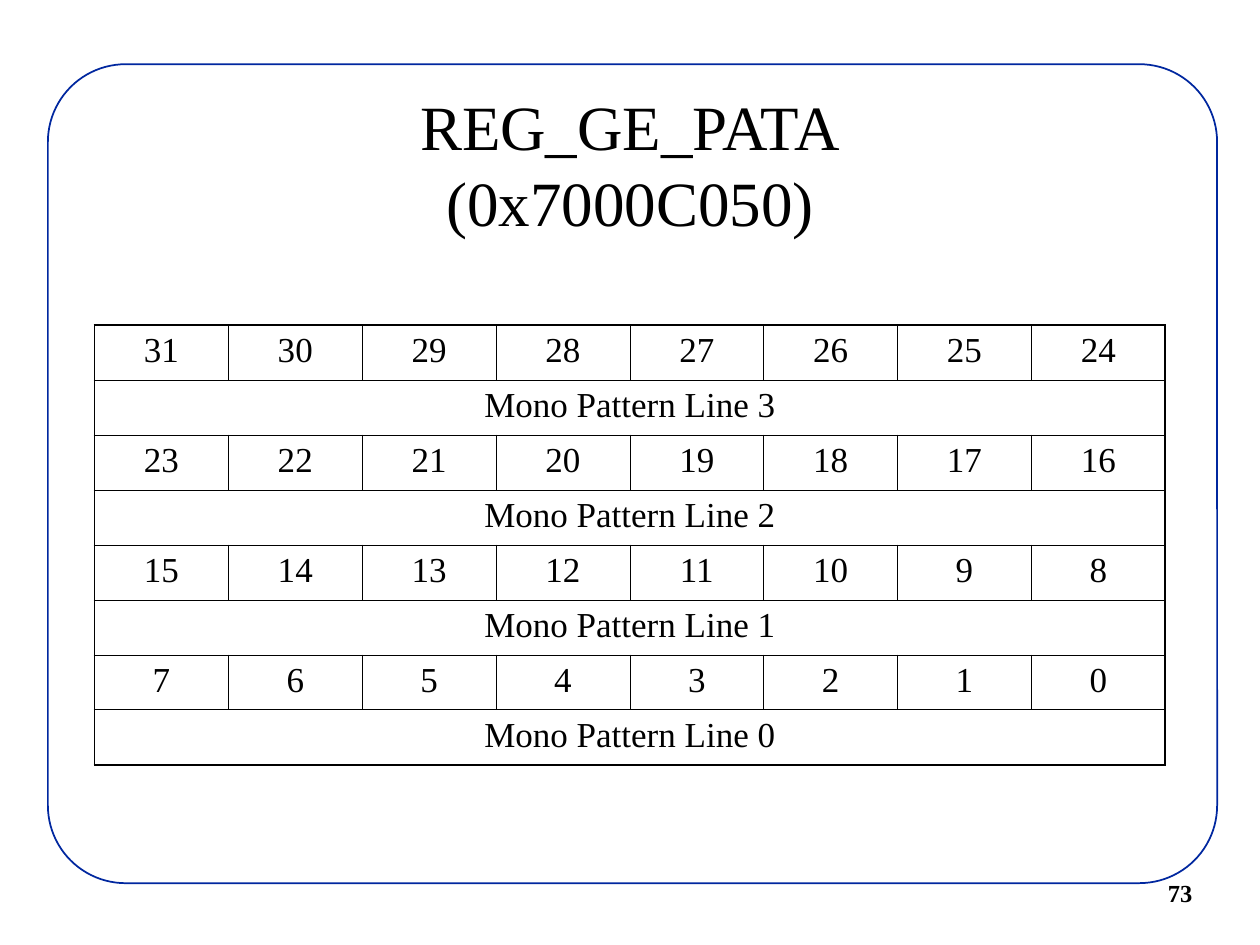
from lxml.etree import SubElement
from pptx import Presentation
from pptx.dml.color import RGBColor
from pptx.enum.shapes import MSO_SHAPE
from pptx.enum.text import MSO_ANCHOR, PP_ALIGN
from pptx.oxml.ns import qn
from pptx.util import Inches, Pt

TITLE = "REG_GE_PATA\v(0x7000C050)"
PAGE_NUMBER = "73"
FIELDS = [
    (31, "Mono Pattern Line 3"),
    (23, "Mono Pattern Line 2"),
    (15, "Mono Pattern Line 1"),
    (7, "Mono Pattern Line 0"),
]
BITS = 8

FONT = "Times New Roman"
BLACK = RGBColor(0x00, 0x00, 0x00)
WHITE = RGBColor(0xFF, 0xFF, 0xFF)
FRAME_BLUE = RGBColor(0x00, 0x27, 0x9F)
OUTER, INNER = Pt(1.08), Pt(0.45)


def write(tf, text, size, align, bold=False):
    tf.word_wrap = True
    p = tf.paragraphs[0]
    p.text = text
    p.alignment = align
    p.font.name = FONT
    p.font.size = Pt(size)
    p.font.bold = bold
    p.font.color.rgb = BLACK


def add_text(slide, box, text, size, align, anchor, bold=False):
    tf = slide.shapes.add_textbox(*map(Inches, box)).text_frame
    tf.vertical_anchor = anchor
    write(tf, text, size, align, bold)


def set_borders(cell, **widths):
    tcPr = cell._tc.get_or_add_tcPr()
    for side in "LRTB":
        ln = SubElement(tcPr, qn(f"a:ln{side}"), w=str(widths[side]))
        fill = SubElement(ln, qn("a:solidFill"))
        SubElement(fill, qn("a:srgbClr"), val=str(BLACK))
    SubElement(tcPr, qn("a:noFill"))


def add_register_table(slide, left, top, width, height):
    rows = 2 * len(FIELDS)
    table = slide.shapes.add_table(
        rows, BITS, Inches(left), Inches(top), Inches(width), Inches(height)
    ).table
    table.first_row = False
    table.horz_banding = False

    for i, (high_bit, name) in enumerate(FIELDS):
        for col in range(BITS):
            write(table.cell(2 * i, col).text_frame, str(high_bit - col), 20, PP_ALIGN.CENTER)
        field = table.cell(2 * i + 1, 0)
        field.merge(table.cell(2 * i + 1, BITS - 1))
        write(field.text_frame, name, 20, PP_ALIGN.CENTER)

    for row in range(rows):
        for col in range(BITS):
            cell = table.cell(row, col)
            at_right = col == BITS - 1 or cell.is_merge_origin
            set_borders(
                cell,
                L=OUTER if col == 0 else INNER,
                R=OUTER if at_right else INNER,
                T=OUTER if row == 0 else INNER,
                B=OUTER if row == rows - 1 else INNER,
            )


prs = Presentation()
prs.slide_width, prs.slide_height = Inches(10), Inches(7.5)
slide = prs.slides.add_slide(prs.slide_layouts[6])

frame = slide.shapes.add_shape(
    MSO_SHAPE.ROUNDED_RECTANGLE, Inches(0.38), Inches(0.51), Inches(9.28), Inches(6.5)
)
frame.adjustments[0] = 0.095
frame.shadow.inherit = False
frame.fill.solid()
frame.fill.fore_color.rgb = WHITE
frame.line.color.rgb = FRAME_BLUE
frame.line.width = Pt(1)

add_text(slide, (9.17, 6.92, 1.08, 0.33), PAGE_NUMBER, 14, PP_ALIGN.LEFT, MSO_ANCHOR.TOP, bold=True)
add_text(slide, (0.75, 0.67, 8.5, 1.25), TITLE, 36, PP_ALIGN.CENTER, MSO_ANCHOR.MIDDLE)
add_register_table(slide, 0.75, 2.58, 8.5, 3.49)

prs.save("out.pptx")
